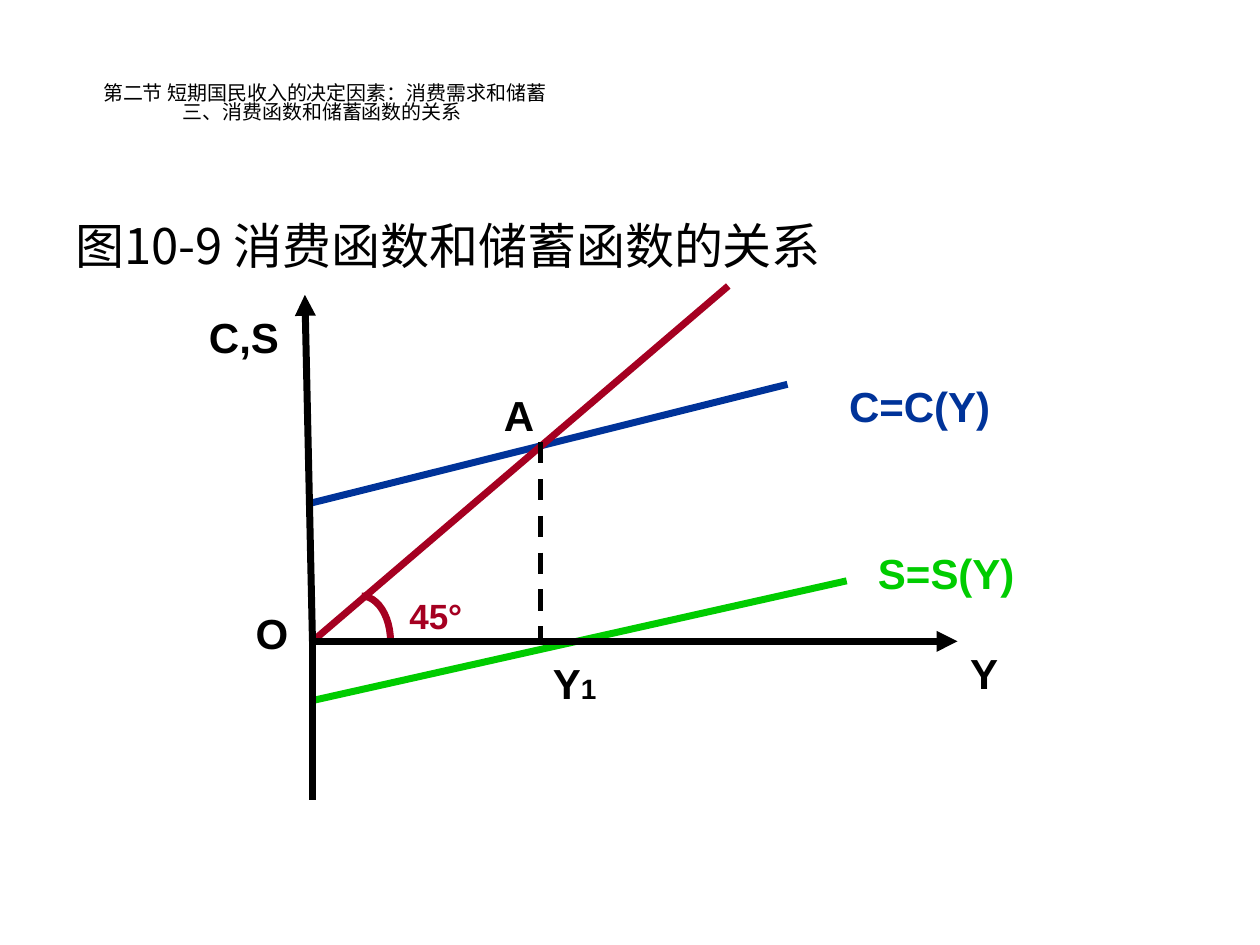
from dataclasses import dataclass

from lxml import etree
from pptx import Presentation
from pptx.dml.color import RGBColor
from pptx.enum.dml import MSO_LINE
from pptx.enum.shapes import MSO_CONNECTOR, MSO_SHAPE
from pptx.enum.text import MSO_ANCHOR
from pptx.oxml.ns import qn
from pptx.util import Inches, Pt

STRAIGHT = MSO_CONNECTOR.STRAIGHT
ARC = MSO_SHAPE.ARC
DASH = MSO_LINE.DASH
MIDDLE = MSO_ANCHOR.MIDDLE


@dataclass(frozen=True)
class Theme:
    black: RGBColor = RGBColor(0x00, 0x00, 0x00)
    consumption: RGBColor = RGBColor(0x00, 0x33, 0x99)
    saving: RGBColor = RGBColor(0x00, 0xCC, 0x00)
    diagonal: RGBColor = RGBColor(0xA5, 0x00, 0x21)
    latin: str = "Arial"
    chinese: str = "Noto Sans CJK SC"
    section_size: float = 11.4
    caption_size: float = 28
    label_size: float = 24
    angle_size: float = 20
    subscript_size: float = 16
    line_width: float = 4
    dash_width: float = 3


THEME = Theme()


@dataclass(frozen=True)
class Box:
    left: float
    top: float
    width: float
    height: float

    def inside(self, x, y, width, height):
        return Box(self.left + x, self.top + y, width, height)

    def lengths(self):
        return [Inches(v) for v in (self.left, self.top, self.width, self.height)]


def add_frame(slide, box):
    frame = slide.shapes.add_textbox(*box.lengths()).text_frame
    frame.word_wrap = True
    return frame


def set_font(paragraph, size, name, color, bold=False):
    font = paragraph.font
    font.size, font.name, font.bold = Pt(size), name, bold
    font.color.rgb = color


def set_chinese(paragraph, size):
    set_font(paragraph, size, THEME.chinese, THEME.black)
    defaults = paragraph._p.pPr.find(qn("a:defRPr"))
    etree.SubElement(defaults, qn("a:ea"), typeface=THEME.chinese)


def add_label(slide, box, text, color, size=THEME.label_size, subscript=""):
    paragraph = add_frame(slide, box).paragraphs[0]
    set_font(paragraph, size, THEME.latin, color, bold=True)
    paragraph.add_run().text = text
    if subscript:
        run = paragraph.add_run()
        run.text = subscript
        run.font.size = Pt(THEME.subscript_size)


def add_line(slide, box, start, end, color, width=THEME.line_width, arrow=False, dash=None):
    points = [Inches(v) for x, y in (start, end) for v in (box.left + x, box.top + y)]
    connector = slide.shapes.add_connector(STRAIGHT, *points)
    connector.line.color.rgb = color
    connector.line.width = Pt(width)
    if dash:
        connector.line.dash_style = dash
    properties = connector._element.spPr
    if arrow:
        etree.SubElement(properties.find(qn("a:ln")), qn("a:tailEnd"), type="triangle")
    etree.SubElement(properties, qn("a:effectLst"))


def add_section_heading(slide, box):
    frame = add_frame(slide, box)
    frame.vertical_anchor = MIDDLE
    lines = (
        ("第二节 短期国民收入的决定因素：消费需求和储蓄", 0.22),
        ("三、消费函数和储蓄函数的关系", 0.85),
    )
    for index, (text, indent) in enumerate(lines):
        paragraph = frame.add_paragraph() if index else frame.paragraphs[0]
        paragraph.text = text
        paragraph.line_spacing = 0.8
        paragraph._p.get_or_add_pPr().set("marL", str(Inches(indent)))
        set_chinese(paragraph, THEME.section_size)


def add_caption(slide, box):
    frame = add_frame(slide, box)
    frame.vertical_anchor = MIDDLE
    paragraph = frame.paragraphs[0]
    paragraph.text = "图10-9 消费函数和储蓄函数的关系"
    set_chinese(paragraph, THEME.caption_size)


def add_diagram(slide, box):
    origin = (1, 3)

    add_line(slide, box, (1, 1.9), (4.77, 0.96), THEME.consumption)
    add_label(slide, box.inside(5.16, 0.88, 1.44, 0.5), "C=C(Y)", THEME.consumption)
    add_line(slide, box, (1, 3.47), (5.24, 2.52), THEME.saving)
    add_label(slide, box.inside(5.39, 2.21, 1.44, 0.5), "S=S(Y)", THEME.saving)

    add_line(slide, box, origin, (4.3, 0.18), THEME.diagonal)
    angle = slide.shapes.add_shape(ARC, *box.inside(1.16, 2.64, 0.46, 0.72).lengths())
    angle.shadow.inherit = False
    angle.fill.background()
    angle.line.color.rgb = THEME.diagonal
    angle.line.width = Pt(THEME.line_width)
    add_label(slide, box.inside(1.67, 2.58, 0.88, 0.44), "45°", THEME.diagonal, THEME.angle_size)

    add_line(slide, box, (1, 2.92), (1, 4.26), THEME.black)
    for axis_end in ((0.94, 0.25), (6.12, 3)):
        add_line(slide, box, origin, axis_end, THEME.black, arrow=True)
    add_line(slide, box, (2.81, 1.42), (2.81, 3), THEME.black, THEME.dash_width, dash=DASH)

    point_labels = (
        ("C,S", "", 0.08, 0.33, 1.02),
        ("Y", "", 6.12, 3, 0.52),
        ("O", "", 0.45, 2.68, 0.52),
        ("A", "", 2.42, 0.95, 0.55),
        ("Y", "1", 2.81, 3.08, 0.63),
    )
    for text, subscript, x, y, width in point_labels:
        add_label(slide, box.inside(x, y, width, 0.5), text, THEME.black, subscript=subscript)


def main():
    presentation = Presentation()
    presentation.slide_width = Inches(10)
    presentation.slide_height = Inches(7.5)
    slide = presentation.slides.add_slide(presentation.slide_layouts[6])
    add_caption(slide, Box(0.5, 1.47, 9, 0.94))
    add_diagram(slide, Box(1.48, 2.09, 6.83, 4.26))
    add_section_heading(slide, Box(0.5, 0.36, 9, 0.94))
    presentation.save("out.pptx")


if __name__ == "__main__":
    main()
